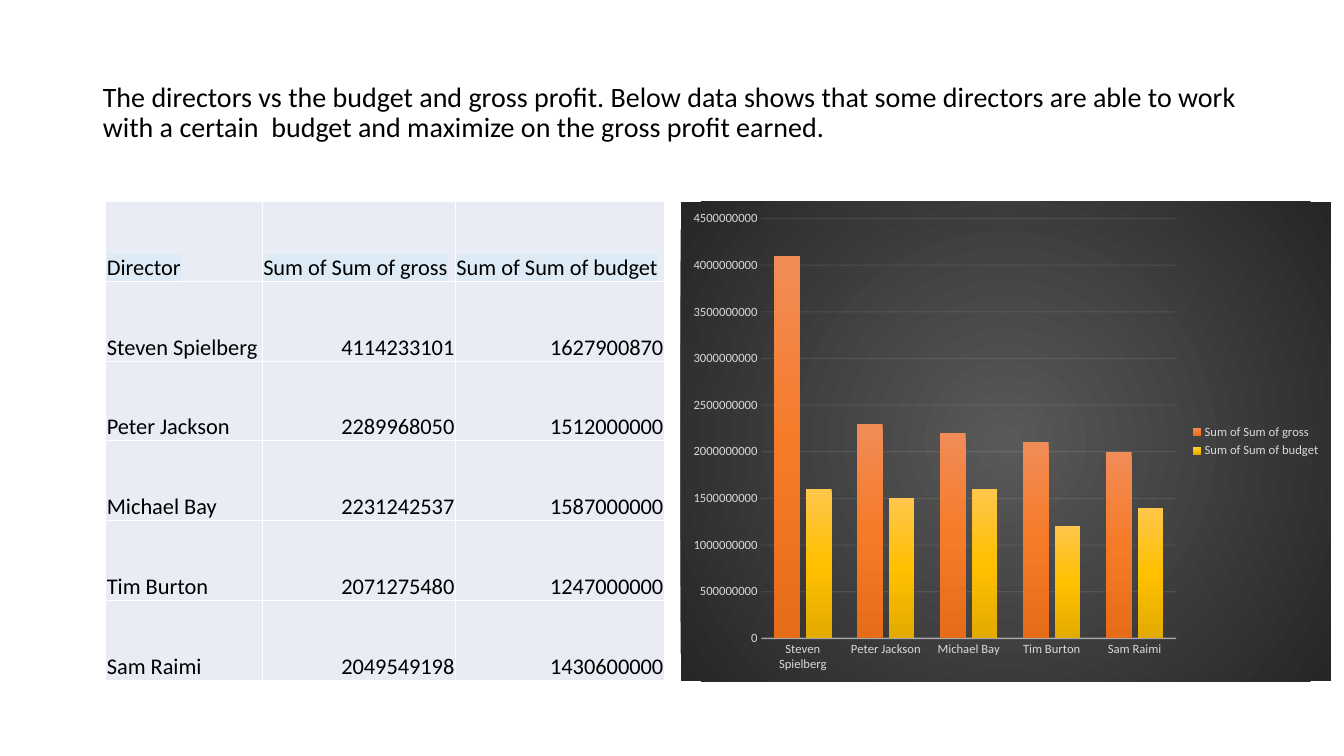
import pptx
import pptx.chart.data
import pptx.dml.color
import pptx.enum.chart
import pptx.enum.text
import pptx.oxml
import pptx.oxml.ns
import pptx.util
from pptx.util import Inches

RGBColor = pptx.dml.color.RGBColor
PP_ALIGN = pptx.enum.text.PP_ALIGN
ANCHOR = pptx.enum.text.MSO_ANCHOR

FONT = "Calibri"
BLACK = RGBColor(0x00, 0x00, 0x00)
WHITE = RGBColor(0xFF, 0xFF, 0xFF)
CELL_FILL = RGBColor(0xE9, 0xEB, 0xF5)
HEADER_HIGHLIGHT = RGBColor(0xDD, 0xEB, 0xF7)
CHART_TEXT = RGBColor(0xD9, 0xD9, 0xD9)
CHART_LINE = RGBColor(0xF2, 0xF2, 0xF2)
BACKDROP = [(0, RGBColor(0x59, 0x59, 0x59)), (100, RGBColor(0x26, 0x26, 0x26))]
ORANGE = [(0, RGBColor(0xF1, 0x8C, 0x57)), (50, RGBColor(0xF6, 0x7B, 0x28)),
          (100, RGBColor(0xE5, 0x6C, 0x19))]
GOLD = [(0, RGBColor(0xFF, 0xC6, 0x4B)), (50, RGBColor(0xFF, 0xC0, 0x00)),
        (100, RGBColor(0xE3, 0xAB, 0x00))]

TITLE = ("The directors vs the budget and gross profit. Below data shows that some "
         "directors are able to work with a certain  budget and maximize on the "
         "gross profit earned.")
HEADERS = ["Director", "Sum of Sum of gross", "Sum of Sum of budget"]
DIRECTORS = [
    ("Steven Spielberg", 4114233101, 1627900870),
    ("Peter Jackson", 2289968050, 1512000000),
    ("Michael Bay", 2231242537, 1587000000),
    ("Tim Burton", 2071275480, 1247000000),
    ("Sam Raimi", 2049549198, 1430600000),
]


def xml(text):
    """Parse a fragment whose root gets the drawing namespaces."""
    tag, rest = text.split(">", 1)
    slash = "/" if tag.endswith("/") else ""
    return pptx.oxml.parse_xml(
        f"{tag.rstrip('/')} {pptx.oxml.ns.nsdecls('a', 'c')}{slash}>{rest}")


def write(tf, text, size, align=PP_ALIGN.LEFT, anchor=ANCHOR.MIDDLE,
          spacing=1.0, highlight=None):
    tf.word_wrap = True
    tf.vertical_anchor = anchor
    p = tf.paragraphs[0]
    p.alignment = align
    p.line_spacing = spacing
    r = p.add_run()
    r.text = text
    r.font.size = pptx.util.Pt(size)
    r.font.color.rgb = BLACK
    if highlight:
        r.font._element.append(
            xml(f'<a:highlight><a:srgbClr val="{highlight}"/></a:highlight>'))
    r.font.name = FONT


def gradient(stops, direction):
    marks = "".join(f'<a:gs pos="{pos * 1000}"><a:srgbClr val="{color}"/></a:gs>'
                    for pos, color in stops)
    return f"<a:gradFill><a:gsLst>{marks}</a:gsLst>{direction}</a:gradFill>"


def chart_font(font, size, color):
    font.name = FONT
    font.size = pptx.util.Pt(size)
    font.color.rgb = color


def faint_line(line, width, opacity):
    line.width = pptx.util.Pt(width)
    line.color.rgb = CHART_LINE
    color = line._get_or_add_ln().find(".//" + pptx.oxml.ns.qn("a:srgbClr"))
    color.append(xml(f'<a:alpha val="{opacity * 1000}"/>'))


def add_title(s, x, y, w, h):
    title = s.shapes.title
    title.left, title.top, title.width, title.height = map(Inches, (x, y, w, h))
    title.text_frame.auto_size = pptx.enum.text.MSO_AUTO_SIZE.NONE
    write(title.text_frame, TITLE, 20, spacing=0.9)


def add_director_table(s, x, y, w, h):
    rows = [HEADERS] + DIRECTORS
    frame = s.shapes.add_table(len(rows), len(HEADERS), *map(Inches, (x, y, w, h)))
    table = frame.table
    for column, share in zip(table.columns, (0.28, 0.346, 0.374)):
        column.width = Inches(w * share)

    for i, values in enumerate(rows):
        for j, value in enumerate(values):
            cell = table.cell(i, j)
            cell.margin_left = cell.margin_right = cell.margin_top = Inches(0.01)
            cell.margin_bottom = 0
            cell.vertical_anchor = ANCHOR.BOTTOM
            # White borders go before the fill
            for side in "LRTB":
                cell._tc.get_or_add_tcPr().append(xml(
                    f'<a:ln{side} w="12700"><a:solidFill><a:srgbClr val="{WHITE}"/>'
                    f'</a:solidFill></a:ln{side}>'))
            cell.fill.solid()
            cell.fill.fore_color.rgb = CELL_FILL
            write(cell.text_frame, str(value), 16, anchor=ANCHOR.BOTTOM,
                  align=PP_ALIGN.RIGHT if i and j else PP_ALIGN.LEFT,
                  highlight=None if i else HEADER_HIGHLIGHT)


def add_profit_chart(s, x, y, w, h):
    # Sums are charted to the nearest hundred million
    data = pptx.chart.data.CategoryChartData(number_format="General")
    names, *sums = zip(*DIRECTORS)
    data.categories = names
    for header, values in zip(HEADERS[1:], sums):
        data.add_series(header, [round(value, -8) for value in values])
    chart = s.shapes.add_chart(pptx.enum.chart.XL_CHART_TYPE.COLUMN_CLUSTERED,
                               *map(Inches, (x, y, w, h)), data).chart
    chart.has_title = False
    chart_font(chart.font, 10, BLACK)

    # Dark round backdrop
    glow = gradient(BACKDROP, '<a:path path="circle"><a:fillToRect l="50000" '
                              't="50000" r="50000" b="50000"/></a:path>')
    text_props = chart._chartSpace.find(pptx.oxml.ns.qn("c:txPr"))
    text_props.addprevious(
        xml(f"<c:spPr>{glow}<a:ln><a:noFill/></a:ln></c:spPr>"))

    # Columns
    plot = chart.plots[0]
    plot.vary_by_categories = False
    plot.gap_width = 100
    plot.overlap = -24
    for series, stops in zip(plot.series, (ORANGE, GOLD)):
        series.invert_if_negative = False
        series._element.get_or_add_spPr().append(
            xml(gradient(stops, '<a:lin ang="5400000" scaled="0"/>')))

    # Axes
    for axis in (chart.category_axis, chart.value_axis):
        axis.major_tick_mark = axis.minor_tick_mark = pptx.enum.chart.XL_TICK_MARK.NONE
        chart_font(axis.tick_labels.font, 9, CHART_TEXT)
    faint_line(chart.category_axis.format.line, 1, 54)
    values_axis = chart.value_axis
    values_axis.minimum_scale = 0
    values_axis.maximum_scale = 4500000000
    values_axis.major_unit = 500000000
    values_axis.format.line.fill.background()
    values_axis.has_major_gridlines = True
    faint_line(values_axis.major_gridlines.format.line, 0.75, 10)

    # Legend
    chart.has_legend = True
    chart.legend.position = pptx.enum.chart.XL_LEGEND_POSITION.RIGHT
    chart.legend.include_in_layout = False
    chart_font(chart.legend.font, 9, CHART_TEXT)


def main():
    prs = pptx.Presentation()
    prs.slide_width, prs.slide_height = Inches(13.33), Inches(7.5)
    s = prs.slides.add_slide(prs.slide_layouts[5])
    add_title(s, 0.92, 0.4, 11.5, 1.45)
    add_director_table(s, 1.05, 2, 5.54, 4.75)
    add_profit_chart(s, 6.75, 2, 6.45, 4.76)
    prs.save("out.pptx")


if __name__ == "__main__":
    main()
